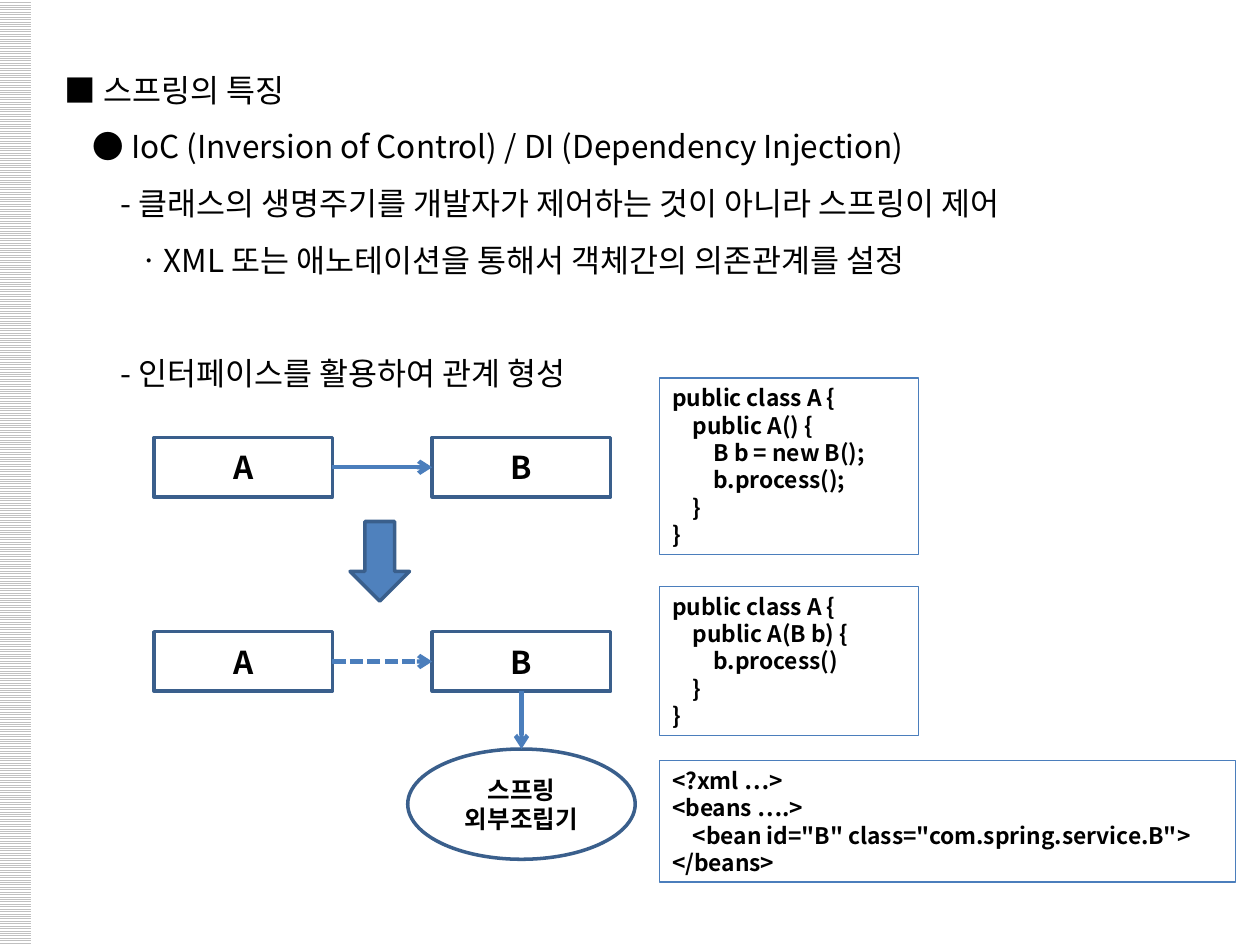
from dataclasses import dataclass

from lxml.etree import SubElement
from pptx import Presentation
from pptx.dml.color import RGBColor
from pptx.enum.dml import MSO_LINE, MSO_PATTERN
from pptx.enum.shapes import MSO_CONNECTOR, MSO_SHAPE
from pptx.enum.text import MSO_ANCHOR, PP_ALIGN
from pptx.oxml.ns import qn
from pptx.util import Pt


@dataclass(frozen=True)
class Theme:
    font: str = "Noto Sans CJK KR"
    ink: str = "000000"
    paper: str = "FFFFFF"
    stripe: str = "C0C0C0"
    border: str = "3A5F8C"
    accent: str = "4B7EBC"
    arrow_fill: str = "4F81BD"
    body: int = 18
    assembler: int = 14
    code: int = 13
    line_height: float = 1.2


THEME = Theme()


def color(value):
    return RGBColor.from_string(value)


def write(frame, text, size=THEME.body, bold=False, align=PP_ALIGN.LEFT,
          anchor=MSO_ANCHOR.TOP, spacing=None, indents=(), gaps=()):
    frame.word_wrap = True
    frame.vertical_anchor = anchor
    for number, line in enumerate(text.split("\n")):
        paragraph = frame.add_paragraph() if number else frame.paragraphs[0]
        paragraph.alignment = align
        paragraph.line_spacing = spacing
        if indents:
            properties = paragraph._p.get_or_add_pPr()
            properties.set("marL", str(Pt(indents[number])))
            properties.set("indent", "0")
        if gaps and gaps[number]:
            paragraph.space_before = Pt(gaps[number])
        run = paragraph.add_run()
        run.text = line
        run.font.name = THEME.font
        run.font.size = Pt(size)
        run.font.bold = bold
        run.font.color.rgb = color(THEME.ink)
        SubElement(run._r.get_or_add_rPr(), qn("a:ea"), typeface=THEME.font)


class Sketch:
    def __init__(self, slide, theme):
        self.slide = slide
        self.theme = theme

    def shape(self, kind, left, top, width, height, fill=None, border=None, weight=2):
        item = self.slide.shapes.add_shape(kind, Pt(left), Pt(top), Pt(width), Pt(height))
        item.shadow.inherit = False
        if fill:
            item.fill.solid()
            item.fill.fore_color.rgb = color(fill)
        else:
            item.fill.background()
        if border:
            item.line.color.rgb = color(border)
            item.line.width = Pt(weight)
        else:
            item.line.fill.background()
        return item

    def striped_band(self, left, top, width, height):
        band = self.shape(MSO_SHAPE.RECTANGLE, left, top, width, height)
        band.fill.patterned()
        band.fill.pattern = MSO_PATTERN.LIGHT_HORIZONTAL
        band.fill.fore_color.rgb = color(self.theme.stripe)
        band.fill.back_color.rgb = color(self.theme.paper)

    def outline(self, left, top, width, height, text, **style):
        box = self.slide.shapes.add_textbox(Pt(left), Pt(top), Pt(width), Pt(height))
        write(box.text_frame, text, **style)

    def node(self, left, top, width, height, text, size=THEME.body, kind=MSO_SHAPE.RECTANGLE):
        item = self.shape(kind, left, top, width, height, border=self.theme.border)
        write(item.text_frame, text, size=size, bold=True,
              align=PP_ALIGN.CENTER, anchor=MSO_ANCHOR.MIDDLE)

    def code(self, left, top, width, text):
        line_count = len(text.split("\n"))
        height = line_count * self.theme.code * self.theme.line_height + 7.2
        item = self.shape(MSO_SHAPE.RECTANGLE, left, top, width, height,
                          border=self.theme.accent, weight=0.75)
        write(item.text_frame, text, size=self.theme.code, bold=True)

    def arrow(self, x1, y1, x2, y2, dash=None):
        link = self.slide.shapes.add_connector(
            MSO_CONNECTOR.STRAIGHT, Pt(x1), Pt(y1), Pt(x2), Pt(y2))
        link.line.color.rgb = color(self.theme.accent)
        link.line.width = Pt(2.5)
        if dash:
            link.line.dash_style = dash
        SubElement(link.line._get_or_add_ln(), qn("a:tailEnd"), type="arrow")
        SubElement(link._element.spPr, qn("a:effectLst"))


OUTLINE = """■ 스프링의 특징
● IoC (Inversion of Control) / DI (Dependency Injection)
- 클래스의 생명주기를 개발자가 제어하는 것이 아니라 스프링이 제어
ㆍXML 또는 애노테이션을 통해서 객체간의 의존관계를 설정
- 인터페이스를 활용하여 관계 형성"""

DIRECT_CLASS = """public class A {
    public A() {
        B b = new B();
        b.process();
    }
}"""

INJECTED_CLASS = """public class A {
    public A(B b) {
        b.process()
    }
}"""

BEANS_XML = """<?xml …>
<beans ….>
    <bean id="B" class="com.spring.service.B">
</beans>"""


def main():
    deck = Presentation()
    deck.slide_width, deck.slide_height = Pt(720), Pt(540)
    sketch = Sketch(deck.slides.add_slide(deck.slide_layouts[6]), THEME)

    sketch.striped_band(-0.7, 0, 18.7, 540)
    sketch.outline(30, 26, 634, 204, OUTLINE, spacing=1.5,
                   indents=(0, 16, 32, 40, 32), gaps=(0, 0, 0, 0, 32.4))

    a_left, b_left, node_width, node_height = 88, 247, 102, 34
    direct_top, injected_top = 250, 361
    for top, dash in ((direct_top, None), (injected_top, MSO_LINE.SQUARE_DOT)):
        middle = top + node_height / 2
        sketch.node(a_left, top, node_width, node_height, "A")
        sketch.node(b_left, top, node_width, node_height, "B")
        sketch.arrow(a_left + node_width, middle, b_left, middle, dash)

    sketch.shape(MSO_SHAPE.DOWN_ARROW, 200, 298, 34, 45.5,
                 fill=THEME.arrow_fill, border=THEME.border)

    b_center = b_left + node_width / 2
    assembler_top, assembler_width = 428, 130
    sketch.node(b_center - assembler_width / 2, assembler_top, assembler_width, 63,
                "스프링\n외부조립기", size=THEME.assembler, kind=MSO_SHAPE.OVAL)
    sketch.arrow(b_center, injected_top + node_height, b_center, assembler_top)

    code_left = 377
    for top, width, text in ((216, 148, DIRECT_CLASS),
                             (335, 148, INJECTED_CLASS),
                             (434.5, 329, BEANS_XML)):
        sketch.code(code_left, top, width, text)

    deck.save("out.pptx")


if __name__ == "__main__":
    main()
